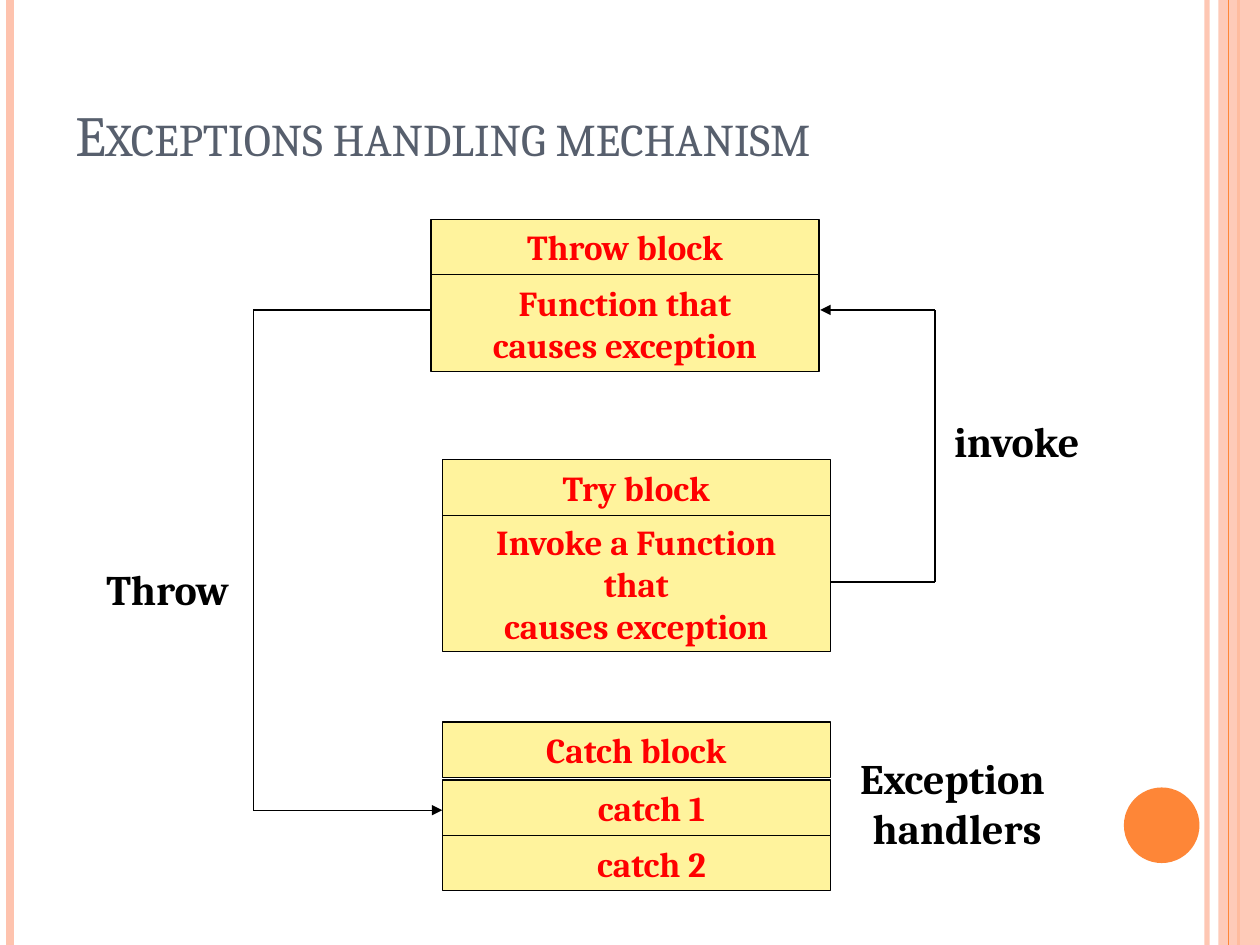
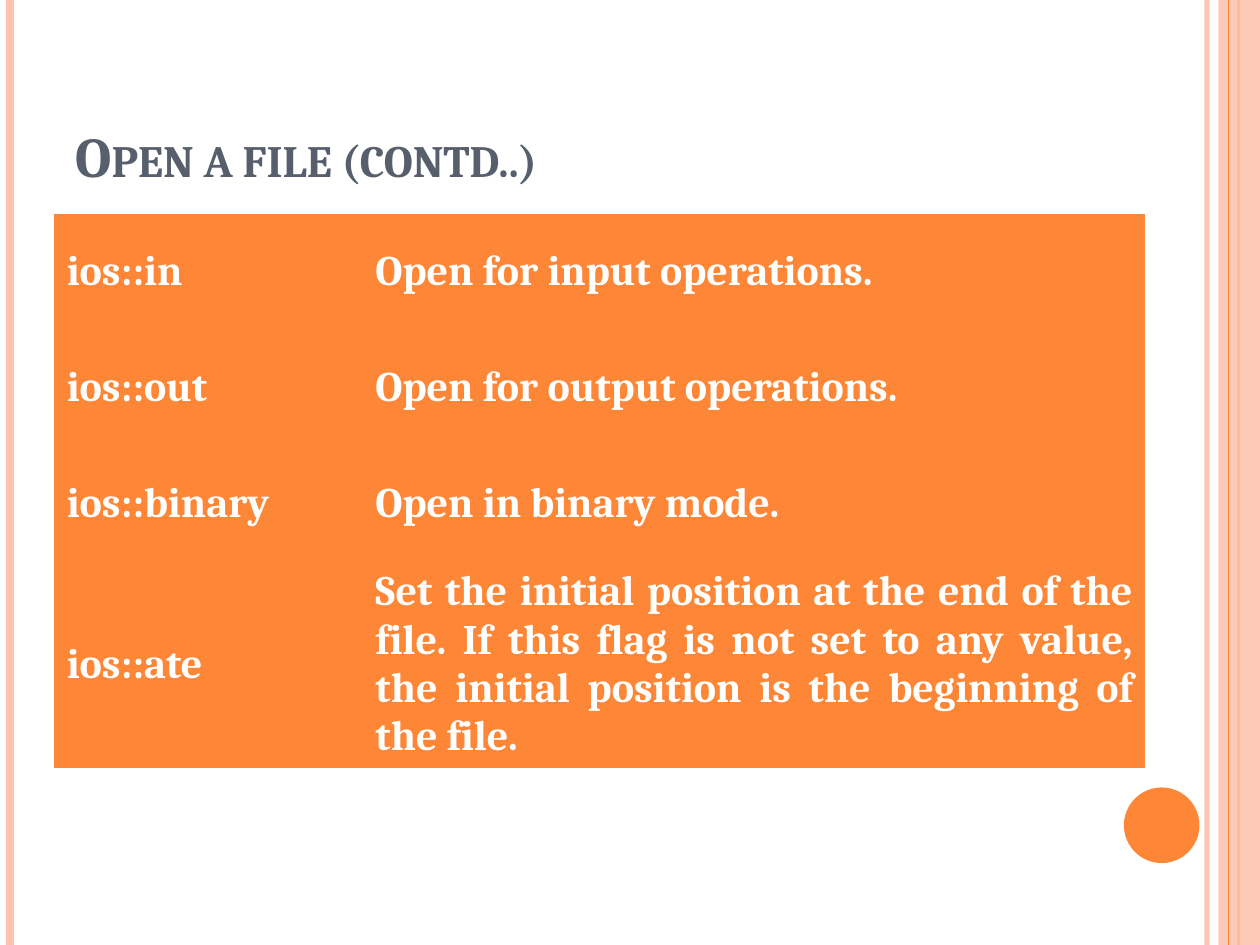
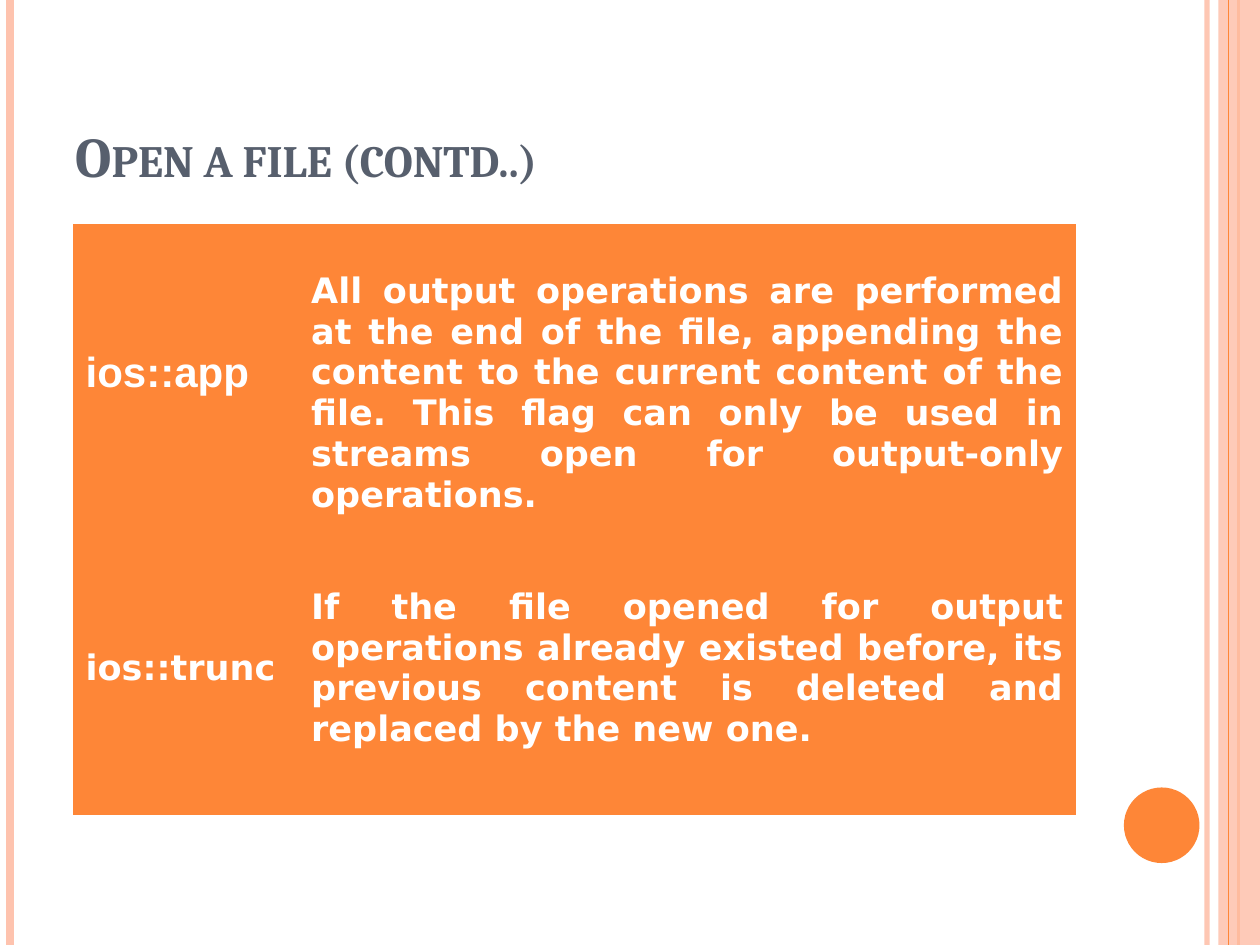
from dataclasses import dataclass
from itertools import pairwise

from lxml.etree import SubElement
from pptx import Presentation
from pptx.dml.color import RGBColor
from pptx.enum.shapes import MSO_CONNECTOR, MSO_SHAPE
from pptx.enum.text import MSO_ANCHOR, PP_ALIGN
from pptx.oxml.ns import qn
from pptx.util import Inches, Pt


@dataclass(frozen=True)
class Theme:
    """Colours, fonts and type sizes shared by the slides."""
    orange: str = "FE8637"
    peach: str = "FEC3AE"
    slate: str = "575F6D"
    yellow: str = "FFF39D"
    red: str = "FF0000"
    black: str = "000000"
    white: str = "FFFFFF"
    serif: str = "Cambria"
    sans: str = "Arial"
    wide: str = "DejaVu Sans"
    title: float = 32
    large: float = 24
    body: float = 20


T = Theme()
WIDTH, HEIGHT = 10, 7.5
NO_TABLE_STYLE = "{2D5ABB26-0587-4C30-8999-92F81FD0307C}"


def rgb(color):
    """Turn a hex string into a colour."""
    return RGBColor.from_string(color)


def set_opacity(shape, percent):
    """Make the single explicit colour of a shape partly transparent."""
    for clr in shape.element.iter(qn("a:srgbClr")):
        SubElement(clr, qn("a:alpha")).set("val", str(percent * 1000))


def write(tf, text, size=T.body, font=T.serif, color=T.black, bold=True,
          align=PP_ALIGN.CENTER, anchor=MSO_ANCHOR.MIDDLE, small_caps=False):
    """Fill a text frame or cell frame, one paragraph for each line."""
    tf.vertical_anchor = anchor
    for i, line in enumerate(text.split("\n")):
        p = tf.paragraphs[0] if i == 0 else tf.add_paragraph()
        p.alignment = align
        r = p.add_run()
        r.text = line
        r.font.size, r.font.name, r.font.bold = Pt(size), font, bold
        r.font.color.rgb = rgb(color)
        if small_caps:
            r.font._element.set("cap", "small")


def text_box(s, box, text, wrap=True, **fmt):
    """Add a text box with formatted text."""
    tf = s.shapes.add_textbox(*map(Inches, box)).text_frame
    tf.word_wrap = wrap
    write(tf, text, **fmt)


def shape(s, kind, box, fill, line=None):
    """Add a flat preset shape."""
    sp = s.shapes.add_shape(kind, *map(Inches, box))
    sp.shadow.inherit = False
    sp.fill.solid()
    sp.fill.fore_color.rgb = rgb(fill)
    if line:
        sp.line.color.rgb = rgb(line)
        sp.line.width = Pt(0.75)
    else:
        sp.line.fill.background()
    return sp


def line(s, start, end, color=T.black, width=0.75, arrow=False):
    """Add a straight line, with an arrowhead at its end if asked."""
    cx = s.shapes.add_connector(MSO_CONNECTOR.STRAIGHT, *map(Inches, (*start, *end)))
    cx.line.color.rgb = rgb(color)
    cx.line.width = Pt(width)
    if arrow:
        SubElement(cx.line._get_or_add_ln(), qn("a:tailEnd")).set("type", "triangle")
    SubElement(cx.element.spPr, qn("a:effectLst"))
    return cx


def route(s, points):
    """Join points with lines and put an arrowhead on the last one."""
    for start, end in pairwise(points):
        line(s, start, end, arrow=end == points[-1])


def frame(s):
    """Draw the side bands and the disc found on every slide."""
    def rule(x, color, width):
        return line(s, (x, 0), (x, HEIGHT), color, width)

    set_opacity(rule(9.58, T.peach, 3), 93)
    rule(0.08, T.peach, 4.5)
    rule(9.83, T.orange, 1.5)
    set_opacity(shape(s, MSO_SHAPE.RECTANGLE, (9.67, 0, 0.33, HEIGHT), T.peach), 87)
    rule(9.75, T.orange, 0.75)
    shape(s, MSO_SHAPE.OVAL, (8.92, 6.25, 0.6, 0.6), T.orange)


def title(s, text, top=0.3, size=T.title, bold=True):
    """Write the slide title in small capitals."""
    text_box(s, (0.5, top, 8.17, 1.25), text, size=size, color=T.slate, bold=bold,
             align=PP_ALIGN.LEFT, anchor=MSO_ANCHOR.BOTTOM, small_caps=True)


def block(s, left, top, head, parts, gap=0, insets=(0.1, 0.1)):
    """Stack a header box and its part boxes, given as (text, height)."""
    head_height = 0.44
    rows = [(head, head_height, (0.1, 0.1))] + [(t, h, insets) for t, h in parts]
    for i, (text, height, (inset_left, inset_right)) in enumerate(rows):
        sp = shape(s, MSO_SHAPE.RECTANGLE, (left, top, 3.08, height), T.yellow, T.black)
        tf = sp.text_frame
        tf.word_wrap = True
        tf.margin_left, tf.margin_right = Inches(inset_left), Inches(inset_right)
        write(tf, text, color=T.red)
        top += height + (gap if i == 0 else 0)


def flag_table(s, left, top, widths, heights, rows, indents=None):
    """Add a plain orange table; each cell is (text, format)."""
    gf = s.shapes.add_table(len(heights), len(widths), *map(
        Inches, (left, top, sum(widths), sum(heights))))
    for style in gf.element.iter(qn("a:tableStyleId")):
        style.text = NO_TABLE_STYLE
    table = gf.table
    table.first_row = table.horz_banding = False
    for col, width in zip(table.columns, widths):
        col.width = Inches(width)
    for i, (row, height) in enumerate(zip(rows, heights)):
        table.rows[i].height = Inches(height)
        for j, (text, fmt) in enumerate(row):
            cell = table.cell(i, j)
            cell.fill.solid()
            cell.fill.fore_color.rgb = rgb(T.orange)
            cell.margin_top = Inches((indents or {}).get((i, j), 0.05))
            cell.vertical_anchor = MSO_ANCHOR.MIDDLE
            write(cell.text_frame, text, color=T.white, align=PP_ALIGN.JUSTIFY, **fmt)
            cell.vertical_anchor = MSO_ANCHOR.MIDDLE


def mechanism_slide(s):
    """Show how throw, try and catch blocks work together."""
    title(s, "Exceptions handling mechanism", top=0.13, size=32.4, bold=False)
    block(s, 3.42, 1.74, "Throw block", [("Function that\ncauses exception", 0.77)])
    block(s, 3.51, 3.65, "Try block",
          [("Invoke a Function that\ncauses exception", 1.08)], insets=(0.2, 0.2))
    block(s, 3.51, 5.73, "Catch block", [("catch 1", 0.44), ("catch 2", 0.44)],
          gap=0.02, insets=(0.34, 0.1))
    route(s, [(6.59, 4.62), (7.42, 4.62), (7.42, 2.46), (6.51, 2.46)])
    route(s, [(3.42, 2.46), (2.01, 2.46), (2.01, 6.43), (3.51, 6.43)])
    for box, text in (((7.44, 3.25, 1.26, 0.5), "invoke"),
                      ((6.65, 5.92, 1.89, 0.9), "Exception \nhandlers"),
                      ((0.73, 4.42, 1.2, 0.5), "Throw")):
        text_box(s, box, text, wrap=False, size=T.large)


def open_modes_slide(s):
    """List the basic modes for opening a file."""
    modes = [
        ("ios::in", "Open for input operations."),
        ("ios::out", "Open for output operations."),
        ("ios::binary", "Open in binary mode."),
        ("ios::ate", "Set the initial position at the end of the file. If this flag is "
                     "not set to any value, the initial position is the beginning of "
                     "the file."),
    ]
    fmt = dict(size=T.large)
    flag_table(s, 0.43, 1.7, (2.45, 6.21), (0.92, 0.92, 0.92, 1.62),
               [[(text, fmt) for text in mode] for mode in modes])
    title(s, "Open a file (contd..)")


def write_modes_slide(s):
    """List the modes that append to or replace a file."""
    wide = dict(font=T.wide)
    rows = [
        [("ios::app", dict(size=T.large, font=T.sans)),
         ("All output operations are performed at the end of the file, appending the "
          "content to the current content of the file. This flag can only be used in "
          "streams open for output-only operations.", wide)],
        [("ios::trunc", wide),
         ("If the file opened for output operations already existed before, its "
          "previous content is deleted and replaced by the new one.", wide)],
    ]
    flag_table(s, 0.58, 1.78, (1.79, 6.17), (2.36, 2.33), rows, indents={(0, 0): 0.05, (0, 1): 0.37})
    title(s, "Open a file (contd..)")


def main():
    """Build the presentation and save it."""
    prs = Presentation()
    prs.slide_width, prs.slide_height = Inches(WIDTH), Inches(HEIGHT)
    for build in (mechanism_slide, open_modes_slide, write_modes_slide):
        s = prs.slides.add_slide(prs.slide_layouts[6])
        frame(s)
        build(s)
    prs.save("out.pptx")


main()
